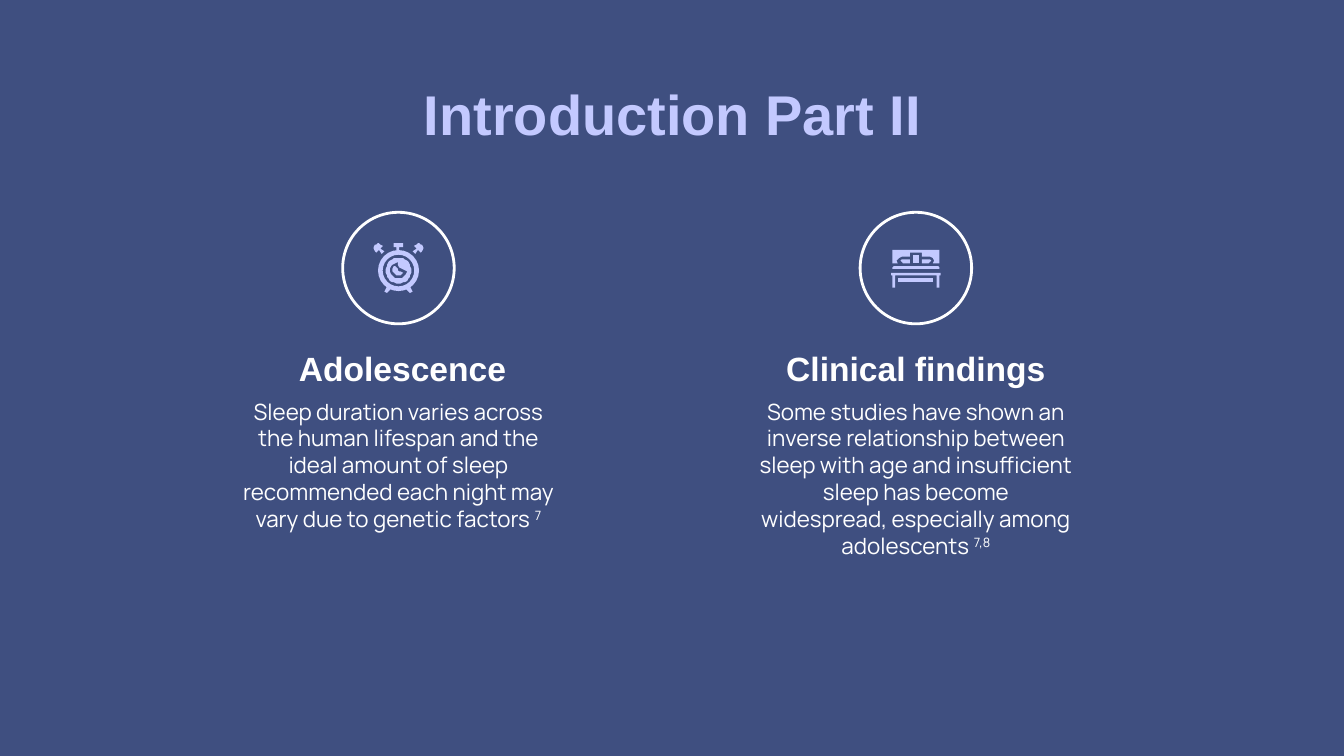
import math

from pptx import Presentation
from pptx.dml.color import RGBColor
from pptx.enum import shapes, text
from pptx.util import Inches, Pt

NAVY, LILAC, WHITE = "3F4F80", "C3C9FF", "FFFFFF"
TITLE = "Introduction Part II"
COLUMNS = [
    (1.69, " Adolescence",
     "Sleep duration varies across the human lifespan and the ideal amount of sleep "
     "recommended each night may vary due to genetic factors ", "7"),
    (5.54, "Clinical findings",
     "Some studies have shown an inverse relationship between sleep with age and "
     "insufficient sleep has become widespread, especially among adolescents ", "7,8"),
]
SLIDE_W, SLIDE_H = 10, 10 * 9 / 16
COLUMN_W, RING, RING_TOP = 2.55, 0.83, 1.58

UNIT = 0.01
CLOCK_AXIS, CLOCK_MIDDLE = 296.5, 201.3
RIM, RIM_BAND, FACE_RADIUS = 30.5, 3.5, 9.5
BELL = [(311, 181), (310, 182), (308, 183), (310, 185), (307, 187), (309, 189), (311, 186),
        (313, 188), (314, 187), (315, 185), (315, 184), (314, 182), (313, 182), (312, 181)]
LEG = [(302, 215), (305, 213), (307, 217), (305, 218)]
STEM = [(293, 181), (300, 181), (300, 184), (297, 184), (297, 187), (295, 187), (295, 184),
        (293, 184)]
NIGHT = [(296, 195), (296, 197), (297, 199), (299, 200), (301, 201), (303, 202), (302, 204),
         (301, 205), (299, 207), (297, 207), (294, 207), (292, 205), (291, 204), (290, 202),
         (290, 200), (291, 198), (292, 197), (294, 196)]
MOON = [(294, 198), (293, 198), (292, 200), (292, 202), (293, 203), (294, 204), (295, 205),
        (298, 205), (299, 204), (300, 203), (298, 202), (297, 202), (296, 201), (296, 200),
        (295, 199)]
BED_AXIS = 681.5
HEADBOARD = [(664, 186), (664, 196), (668, 196), (667, 194), (669, 192), (671, 191), (677, 191),
             (677, 188), (686, 188), (686, 191), (692, 191), (694, 192), (695, 194), (694, 196),
             (699, 196), (699, 186)]
PILLOW = [(686, 193), (686, 196), (691, 196), (692, 195), (693, 194), (692, 193)]
CUSHION = [(679, 190), (679, 196), (684, 196), (684, 190)]
MATTRESS = [(665, 198), (664, 199), (664, 200), (699, 200), (699, 199), (698, 198)]
FRAME = [(663, 203), (663, 205), (664, 205), (664, 214), (666, 214), (666, 205), (697, 205),
         (697, 214), (699, 214), (699, 205), (700, 205), (700, 203)]
RAIL = [(668, 207), (668, 210), (694, 210), (694, 207)]


def color(value):
    return RGBColor.from_string(value)


def mirror(points, axis):
    return [(round(2 * axis) - x, y) for x, y in points]


def circle(x, y, radius, steps=36):
    angles = [2 * math.pi * i / steps for i in range(steps)]
    return [(x + radius * math.cos(a), y + radius * math.sin(a)) for a in angles]


def paint(sp):
    sp.shadow.inherit = False
    sp.fill.solid()
    sp.fill.fore_color.rgb = color(LILAC)
    sp.line.fill.background()


def add_outline(s, points, hole=None):
    builder = s.shapes.build_freeform(*points[0], scale=Inches(UNIT))
    builder.add_line_segments(points[1:], close=True)
    if hole:
        builder.move_to(*hole[0])
        builder.add_line_segments(hole[1:], close=True)
    paint(builder.convert_to_shape())


def add_text(s, box, parts, size, font, fill, bold=False, anchor=text.MSO_ANCHOR.TOP):
    tf = s.shapes.add_textbox(*map(Inches, box)).text_frame
    tf.word_wrap = True
    tf.vertical_anchor = anchor
    tf.margin_left = tf.margin_right = tf.margin_top = tf.margin_bottom = Inches(0.1)
    p = tf.paragraphs[0]
    p.alignment = text.PP_ALIGN.CENTER
    for part in parts:
        r = p.add_run()
        r.text = part
        r.font.size, r.font.name, r.font.bold = Pt(size), font, bold
        r.font.color.rgb = color(fill)
    return p


def add_column(s, left, heading, body, reference):
    add_text(s, (left, 2.59, COLUMN_W, 0.4), [heading], 18, "Arial", WHITE, True,
             text.MSO_ANCHOR.BOTTOM)
    p = add_text(s, (left, 2.86, COLUMN_W, 1.93), [body, reference], 12, "Manrope", WHITE)
    p.runs[1]._r.get_or_add_rPr().set("baseline", "30000")
    sp = s.shapes.add_shape(shapes.MSO_SHAPE.ROUNDED_RECTANGLE,
                            Inches(left + (COLUMN_W - RING) / 2), Inches(RING_TOP),
                            Inches(RING), Inches(RING))
    sp.adjustments[0] = 0.5
    sp.shadow.inherit = False
    sp.fill.background()
    sp.line.color.rgb = color(WHITE)
    sp.line.width = Pt(1.5)


def add_clock(s):
    sp = s.shapes.add_shape(shapes.MSO_SHAPE.DONUT,
                            Inches((CLOCK_AXIS - RIM / 2) * UNIT),
                            Inches((CLOCK_MIDDLE - RIM / 2) * UNIT),
                            Inches(RIM * UNIT), Inches(RIM * UNIT))
    sp.adjustments[0] = RIM_BAND / RIM
    paint(sp)
    add_outline(s, circle(CLOCK_AXIS, CLOCK_MIDDLE, FACE_RADIUS), NIGHT)
    for points in (BELL, LEG):
        add_outline(s, points)
        add_outline(s, mirror(points, CLOCK_AXIS))
    for points in (STEM, MOON):
        add_outline(s, points)


def add_bed(s):
    for points in (HEADBOARD, PILLOW, mirror(PILLOW, BED_AXIS), CUSHION, MATTRESS, FRAME, RAIL):
        add_outline(s, points)


def main():
    prs = Presentation()
    prs.slide_width, prs.slide_height = Inches(SLIDE_W), Inches(SLIDE_H)
    s = prs.slides.add_slide(prs.slide_layouts[6])
    s.background.fill.solid()
    s.background.fill.fore_color.rgb = color(NAVY)
    add_text(s, (0.79, 0.49, 8.43, 0.63), [TITLE], 30, "Arial", LILAC, True)
    for column in COLUMNS:
        add_column(s, *column)
    add_clock(s)
    add_bed(s)
    prs.save("out.pptx")


if __name__ == "__main__":
    main()
